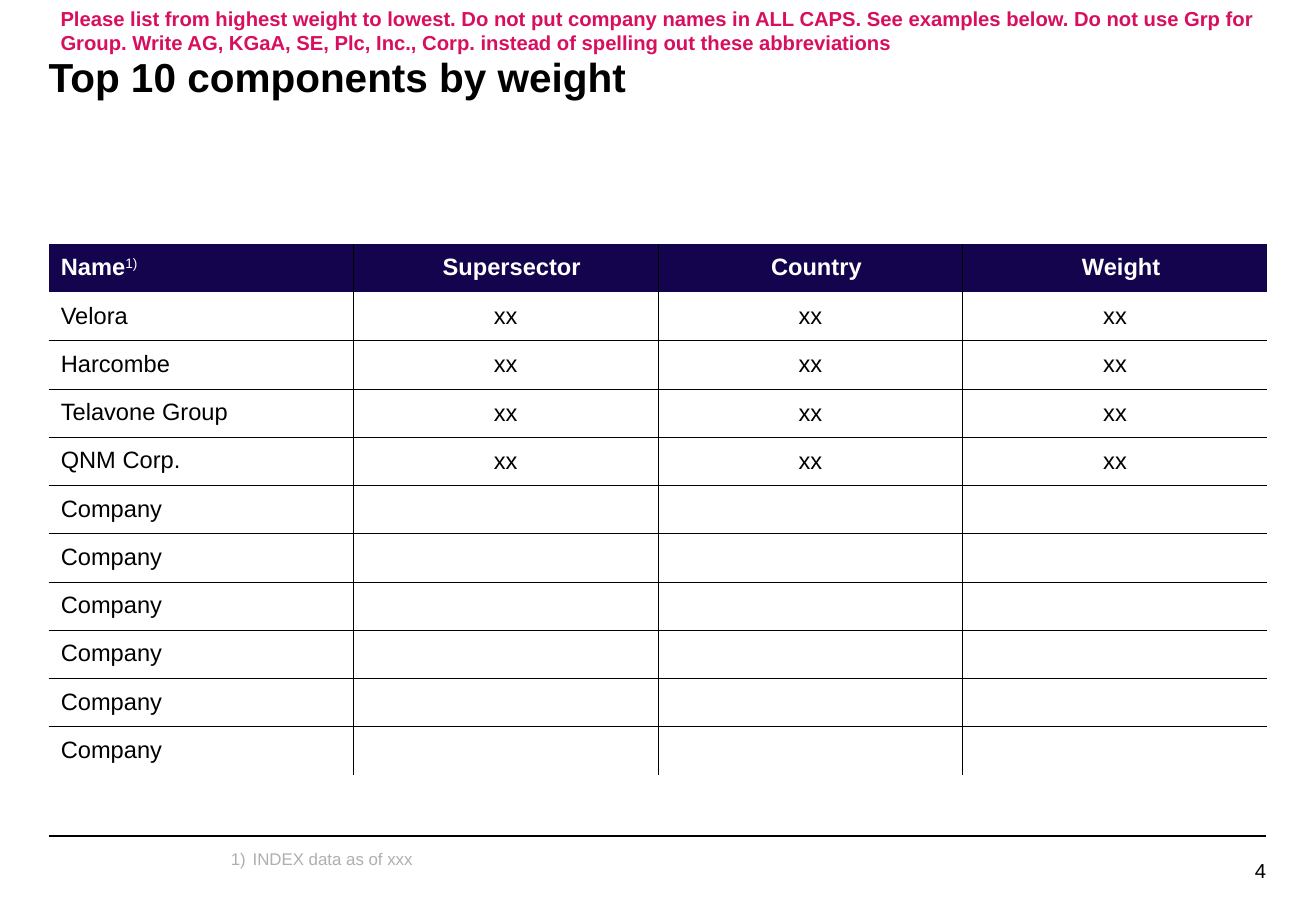
from lxml import etree
from pptx import Presentation
from pptx import util as u
from pptx.dml.color import RGBColor
from pptx.enum import shapes, text
from pptx.oxml import ns

COLORS = {"ink": "000000", "header": "14044E", "white": "FFFFFF", "note": "D80F5F", "grey": "AFAFAF"}
ALIGN = text.PP_ALIGN
ANCHOR = text.MSO_ANCHOR


def write(paragraph, words, size, color, bold=False, align=ALIGN.LEFT, spacing=1.0):
    paragraph.alignment = align
    paragraph.line_spacing = spacing
    run = paragraph.add_run()
    run.text = words
    font_format = {"name": "Arial", "size": u.Pt(size), "bold": bold}
    for name, value in font_format.items():
        setattr(run.font, name, value)
    run.font.color.rgb = RGBColor.from_string(COLORS[color])
    return run


def frame_text(shape, box, anchor=ANCHOR.TOP, sides=0, ends=0):
    for name, value in zip(("left", "top", "width", "height"), box):
        setattr(shape, name, u.Inches(value))
    frame_format = {
        "word_wrap": True,
        "auto_size": text.MSO_AUTO_SIZE.NONE,
        "vertical_anchor": anchor,
        "margin_left": u.Inches(sides),
        "margin_right": u.Inches(sides),
        "margin_top": u.Inches(ends),
        "margin_bottom": u.Inches(ends),
    }
    for name, value in frame_format.items():
        setattr(shape.text_frame, name, value)
    return shape.text_frame.paragraphs[0]


presentation = Presentation()
presentation.slide_width = u.Inches(10.83)
presentation.slide_height = u.Inches(7.5)
slide = presentation.slides.add_slide(presentation.slide_layouts[5])

paragraph = frame_text(slide.shapes.title, (0.4, 0.43, 10.02, 0.84))
write(paragraph, "Top 10 components by weight", 24, "ink", bold=True)

rule = slide.shapes.add_connector(
    shapes.MSO_CONNECTOR.STRAIGHT, u.Inches(0.4), u.Inches(6.88), u.Inches(10.42), u.Inches(6.88)
)
rule.line.width = u.Pt(1)
rule.line.color.rgb = RGBColor.from_string(COLORS["ink"])
etree.SubElement(rule._element.spPr, ns.qn("a:effectLst"))

page_number = slide.shapes.add_textbox(0, 0, 0, 0)
paragraph = frame_text(page_number, (9.53, 7.08, 0.89, 0.19))
write(paragraph, "4", 12, "ink", align=ALIGN.RIGHT, spacing=0.95)

names = ["Velora", "Harcombe", "Telavone Group", "QNM Corp."]
rows = [["Name", "Supersector", "Country", "Weight"]]
rows += [[name] + ["xx"] * 3 for name in names]
rows += [["Company", "", "", ""] for _ in range(6)]
row_count, column_count = len(rows), len(rows[0])

table = slide.shapes.add_table(
    row_count, column_count, u.Inches(0.4), u.Inches(2.01), u.Inches(10.03), u.Inches(4.37)
).table
table.first_row = False
table.horz_banding = False
for column in table.columns:
    column.width = u.Inches(10.03 / column_count)
for row in table.rows:
    row.height = u.Inches(4.37 / row_count)

for row_index, row in enumerate(rows):
    for column_index, words in enumerate(row):
        cell = table.cell(row_index, column_index)
        is_header, is_name = row_index == 0, column_index == 0
        cell_format = {
            "vertical_anchor": ANCHOR.MIDDLE,
            "margin_left": u.Inches(0.1 if is_header or is_name else 0.04),
            "margin_right": u.Inches(0 if is_header else 0.04),
            "margin_top": u.Inches(0.04),
            "margin_bottom": u.Inches(0.04),
        }
        for name, value in cell_format.items():
            setattr(cell, name, value)

        edges = {
            "lnL": column_index > 0,
            "lnR": column_index < column_count - 1,
            "lnT": row_index > 1,
            "lnB": 0 < row_index < row_count - 1,
        }
        properties = cell._tc.get_or_add_tcPr()
        for edge, visible in edges.items():
            border = etree.SubElement(properties, ns.qn(f"a:{edge}"), w=str(u.Pt(0.5)))
            if visible:
                fill = etree.SubElement(border, ns.qn("a:solidFill"))
                etree.SubElement(fill, ns.qn("a:srgbClr"), val=COLORS["ink"])
            else:
                etree.SubElement(border, ns.qn("a:noFill"))

        if is_header:
            cell.fill.solid()
            cell.fill.fore_color.rgb = RGBColor.from_string(COLORS["header"])
        else:
            cell.fill.background()

        if words:
            write(
                cell.text_frame.paragraphs[0], words, 14,
                "white" if is_header else "ink", bold=is_header,
                align=ALIGN.LEFT if is_name else ALIGN.CENTER,
                spacing=0.95 if is_header or is_name else 1.0,
            )

marker = write(table.cell(0, 0).text_frame.paragraphs[0], "1)", 14, "white", spacing=0.95)
marker.font._element.set("baseline", "30000")

footnote = slide.shapes.add_textbox(0, 0, 0, 0)
paragraph = frame_text(footnote, (1.9, 7, 8.3, 0.4))
write(paragraph, "INDEX data as of xxx", 10, "grey", spacing=0.95)
properties = paragraph._p.get_or_add_pPr()
properties.set("marL", str(u.Inches(0.18)))
properties.set("indent", str(u.Inches(-0.18)))
etree.SubElement(properties, ns.qn("a:buAutoNum"), type="arabicParenR")

instruction = slide.shapes.add_textbox(0, 0, 0, 0)
paragraph = frame_text(instruction, (0.4, 0, 10.03, 0.5), ANCHOR.MIDDLE, sides=0.1, ends=0.05)
write(
    paragraph,
    "Please list from highest weight to lowest. Do not put company names in ALL CAPS. "
    "See examples below. Do not use Grp for Group. Write AG, KGaA, SE, Plc, Inc., Corp. "
    "instead of spelling out these abbreviations",
    12, "note", bold=True,
)

presentation.save("out.pptx")
